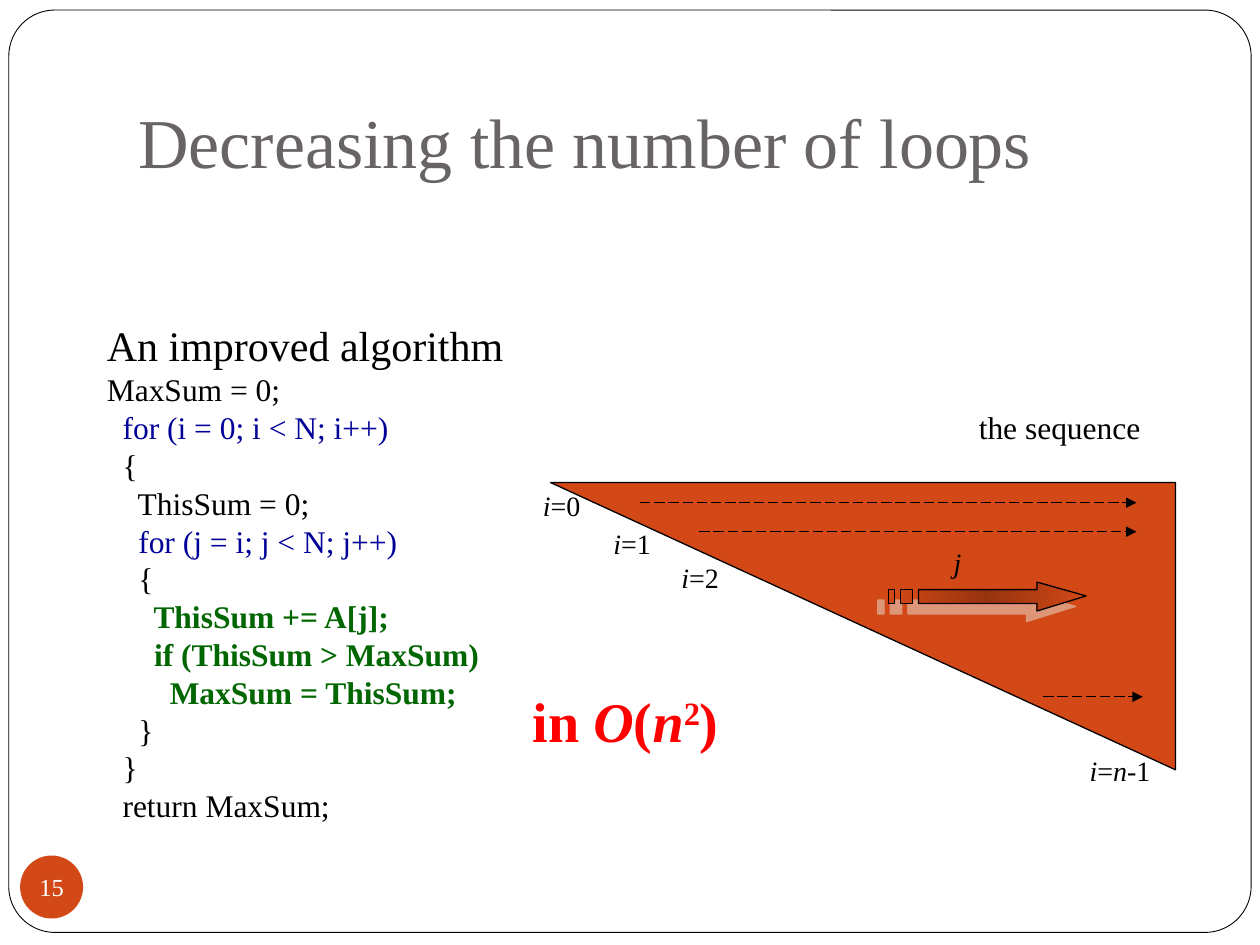
from lxml.etree import SubElement
from pptx import Presentation
from pptx.dml.color import RGBColor
from pptx.enum.dml import MSO_LINE
from pptx.enum.shapes import MSO_CONNECTOR, MSO_SHAPE
from pptx.enum.text import MSO_ANCHOR, MSO_AUTO_SIZE, PP_ALIGN
from pptx.oxml.ns import qn
from pptx.util import Inches, Pt

FONT = "Times New Roman"
BLACK, WHITE, ORANGE, BROWN = "000000", "FFFFFF", "D34817", "973410"
GRAY, BLUE, GREEN, RED, SHADOW = "696464", "000099", "006600", "FF0000", "E9E5DC"

TITLE = "Decreasing the number of loops"
HEADING = "An improved algorithm"
CODE = [
    ("MaxSum = 0;", BLACK),
    ("  for (i = 0; i < N; i++)", BLUE),
    ("  {", BLACK),
    ("    ThisSum = 0;", BLACK),
    ("    for (j = i; j < N; j++)", BLUE),
    ("    {", BLACK),
    ("      ThisSum += A[j];", GREEN),
    ("      if (ThisSum > MaxSum)", GREEN),
    ("        MaxSum = ThisSum;", GREEN),
    ("    }", BLACK),
    ("  }", BLACK),
    ("  return MaxSum;", BLACK),
]
LABELS = [
    ((7.67, 3.19, 1.97, 0.4), 18, BLACK, ["the sequence"]),
    ((4.21, 3.83, 0.79, 0.37), 16, BLACK, ["i", "=0"]),
    ((4.77, 4.13, 0.79, 0.37), 16, BLACK, ["i", "=1"]),
    ((5.31, 4.4, 0.79, 0.37), 16, BLACK, ["i", "=2"]),
    ((8.55, 5.93, 0.79, 0.37), 16, BLACK, ["i", "=", "n", "-1"]),
    ((7.47, 4.28, 0.71, 0.37), 16, BLACK, ["j"]),
    ((4.13, 5.4, 1.73, 0.63), 32, RED, ["in ", "O", "(", "n", "2", ")"]),
]
VARIABLES = {"i", "j", "n", "O"}
SUPERSCRIPTS = {"2"}
SCANS = [(5.08, 9.02, 3.99), (5.55, 9.02, 4.22), (8.28, 9.07, 5.53)]
ARROW_HEAD = [(8.23, 4.62), (8.23, 4.68), (7.29, 4.68), (7.29, 4.79),
              (8.23, 4.79), (8.23, 4.85), (8.62, 4.73)]
STRIPES = [(7.15, 7.24), (7.05, 7.1)]
STRIPE_TOP, STRIPE_BOTTOM = 4.68, 4.79


def rgb(value):
    return RGBColor.from_string(value)


def style(font, size, color, bold=False, italic=False):
    font.name, font.size = FONT, Pt(size)
    font.bold, font.italic = bold, italic
    font.color.rgb = rgb(color)


def add_text(slide, box, grow=True):
    tf = slide.shapes.add_textbox(*map(Inches, box)).text_frame
    tf.word_wrap = True
    tf.auto_size = MSO_AUTO_SIZE.SHAPE_TO_FIT_TEXT if grow else MSO_AUTO_SIZE.NONE
    return tf


def add_run(p, text, *args):
    r = p.add_run()
    r.text = text
    style(r.font, *args)
    return r


def outline(sp, width):
    sp.line.color.rgb = rgb(BLACK)
    sp.line.width = Pt(width)


def add_shape(slide, kind, box, fill, line=None):
    sp = slide.shapes.add_shape(kind, *map(Inches, box))
    sp.shadow.inherit = False
    sp.fill.solid()
    sp.fill.fore_color.rgb = rgb(fill)
    if line:
        outline(sp, line)
    else:
        sp.line.fill.background()
    return sp


def add_label(slide, box, size, color, parts):
    p = add_text(slide, box).paragraphs[0]
    for part in parts:
        r = add_run(p, part, size, color, color == RED, part in VARIABLES)
        if part in SUPERSCRIPTS:
            r.font._element.set("baseline", "30000")


def add_scan(slide, x1, x2, y):
    c = slide.shapes.add_connector(MSO_CONNECTOR.STRAIGHT, *map(Inches, (x1, y, x2, y)))
    outline(c, 0.75)
    c.line.dash_style = MSO_LINE.LONG_DASH
    SubElement(c.line._get_or_add_ln(), qn("a:tailEnd"), type="triangle")
    SubElement(c._element.spPr, qn("a:effectLst"))


def add_striped_arrow(slide):
    outlines = [ARROW_HEAD] + [
        [(x1, STRIPE_TOP), (x1, STRIPE_BOTTOM), (x2, STRIPE_BOTTOM), (x2, STRIPE_TOP)]
        for x1, x2 in STRIPES]
    contours = [[(Inches(x), Inches(y)) for x, y in points] for points in outlines]
    builder = slide.shapes.build_freeform(*contours[0][0])
    for i, points in enumerate(contours):
        if i:
            builder.move_to(*points[0])
        builder.add_line_segments(points[1:], close=True)
    sp = builder.convert_to_shape()
    sp.fill.gradient()
    sp.fill.gradient_angle = 0
    stops = sp._element.spPr.find(".//" + qn("a:gsLst"))
    for stop in list(stops):
        stops.remove(stop)
    for pos, color in ((0, ORANGE), (50, BROWN), (100, ORANGE)):
        stop = SubElement(stops, qn("a:gs"), pos=str(pos * 1000))
        SubElement(stop, qn("a:srgbClr"), val=color)
    outline(sp, 0.75)
    sp.shadow.inherit = False
    effects = sp._element.spPr.find(qn("a:effectLst"))
    shadow = SubElement(effects, qn("a:outerShdw"), blurRad="0", dist=str(Pt(8.5)),
                        dir=str(135 * 60000), algn="ctr", rotWithShape="0")
    clr = SubElement(shadow, qn("a:srgbClr"), val=SHADOW)
    SubElement(clr, qn("a:alpha"), val="50000")


def main():
    prs = Presentation()
    prs.slide_width, prs.slide_height = Inches(10), Inches(7.5)
    slide = prs.slides.add_slide(prs.slide_layouts[6])

    frame = add_shape(slide, MSO_SHAPE.ROUNDED_RECTANGLE, (0.07, 0.08, 9.86, 7.32), WHITE, 0.5)
    frame.adjustments[0] = 0.05

    tf = add_text(slide, (1, 0.3, 8.5, 1.25), grow=False)
    tf.vertical_anchor = MSO_ANCHOR.BOTTOM
    tf.margin_bottom = Inches(0.1)
    add_run(tf.paragraphs[0], TITLE, 40, GRAY)

    tf = add_text(slide, (0.75, 2.49, 3.94, 4.1))
    add_run(tf.paragraphs[0], HEADING, 24, BLACK)
    for line, color in CODE:
        add_run(tf.add_paragraph(), line, 18, color, color == GREEN)

    triangle = add_shape(slide, MSO_SHAPE.RIGHT_TRIANGLE, (4.37, 3.83, 4.96, 2.28), ORANGE, 0.75)
    xfrm = triangle._element.spPr.find(qn("a:xfrm"))
    xfrm.set("flipH", "1")
    xfrm.set("flipV", "1")

    add_striped_arrow(slide)
    for label in LABELS:
        add_label(slide, *label)
    for scan in SCANS:
        add_scan(slide, *scan)

    badge = add_shape(slide, MSO_SHAPE.OVAL, (0.16, 6.79, 0.5, 0.5), ORANGE)
    tf = badge.text_frame
    tf.margin_left = tf.margin_right = tf.margin_top = tf.margin_bottom = 0
    tf.word_wrap = False
    tf.vertical_anchor = MSO_ANCHOR.MIDDLE
    p = tf.paragraphs[0]
    p.alignment = PP_ALIGN.CENTER
    add_run(p, "15", 14, WHITE)

    prs.save("out.pptx")


if __name__ == "__main__":
    main()
